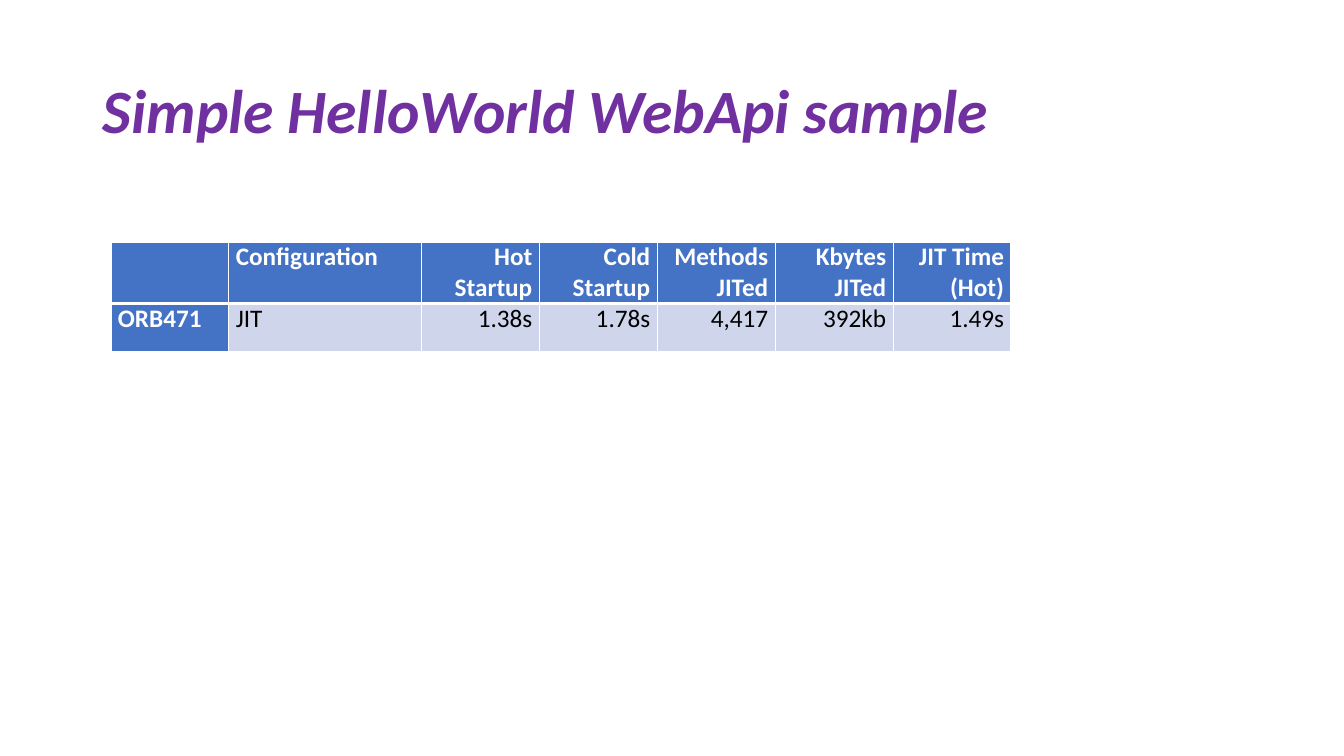
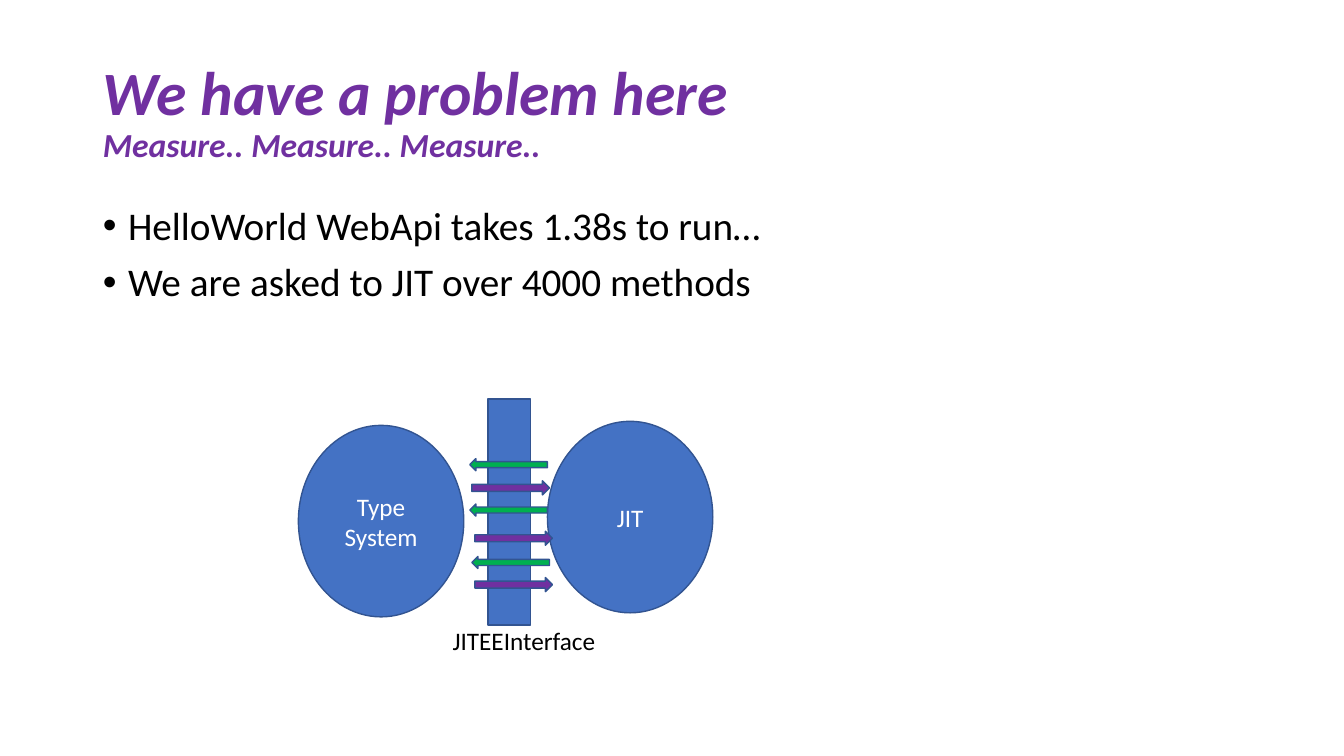
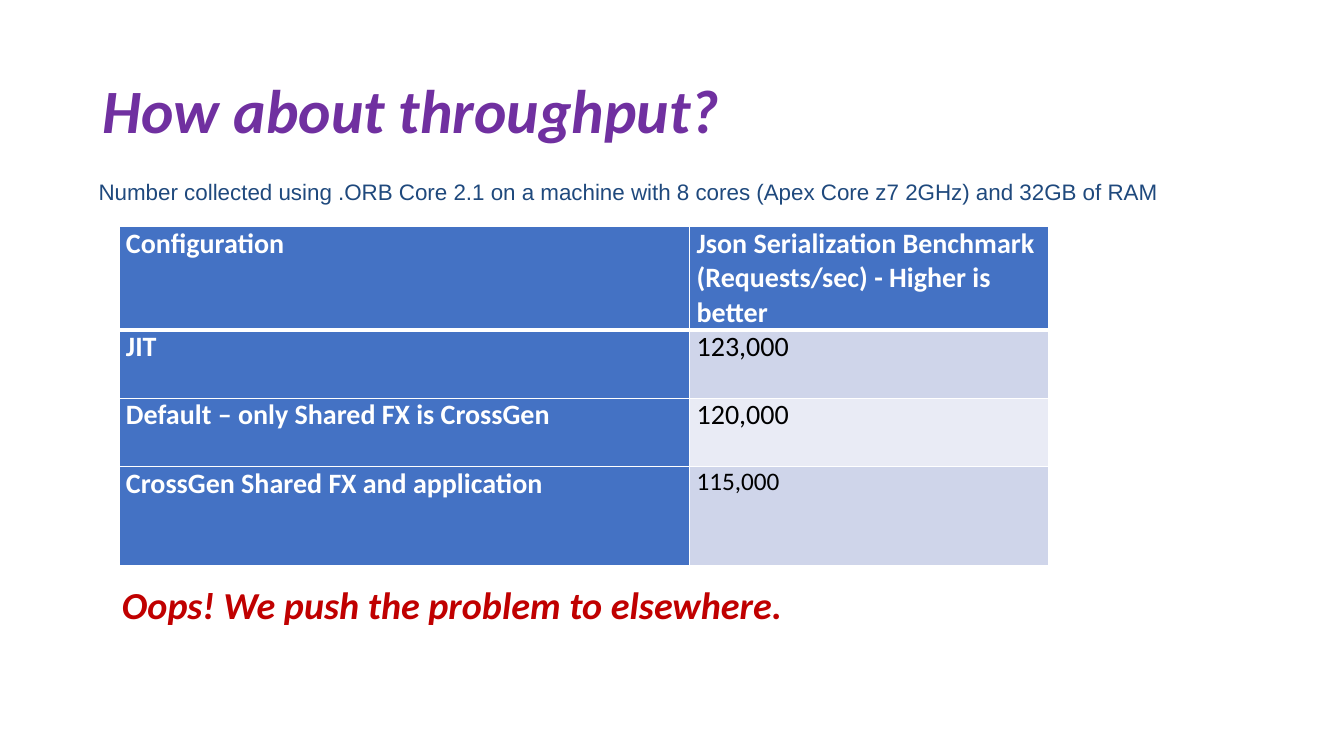
"""Build three slides on startup time, JIT calls and throughput."""
import dataclasses

import pptx
import pptx.dml.color
import pptx.enum.shapes
import pptx.enum.text
import pptx.oxml
import pptx.oxml.ns
import pptx.util

Inches = pptx.util.Inches
Pt = pptx.util.Pt
SHAPE = pptx.enum.shapes.MSO_SHAPE
ALIGN = pptx.enum.text.PP_ALIGN
ANCHOR = pptx.enum.text.MSO_ANCHOR
FIT = pptx.enum.text.MSO_AUTO_SIZE


@dataclasses.dataclass(frozen=True)
class Theme:
    face: str = "Calibri"
    plain: str = "Arial"
    blue: str = "4472C4"
    edge: str = "325491"
    bands: tuple = ("CFD5EA", "E9EBF5")
    purple: str = "7030A0"
    green: str = "00B050"
    red: str = "C00000"
    navy: str = "1F497D"
    white: str = "FFFFFF"
    black: str = "000000"
    head: float = 44
    sub: float = 24
    list: float = 28
    punch: float = 27.2
    large: float = 20
    text: float = 18
    note: float = 16


THEME = Theme()

STARTUP = {
    "at": (1.1, 2.4),
    "cols": [1.17, 1.91] + [1.17] * 5,
    "rows": [0.6, 0.48],
    "size": THEME.text,
    "right": 2,
    "cells": [
        ["", "Configuration", "Hot Startup", "Cold Startup",
         "Methods JITed", "Kbytes JITed", "JIT Time (Hot)"],
        ["ORB471", "JIT", "1.38s", "1.78s", "4,417", "392kb", "1.49s"],
    ],
}
SPEED = {
    "at": (1.18, 2.25),
    "cols": [5.66, 3.56],
    "rows": [1.02, 0.68, 0.68, 0.98],
    "size": THEME.large,
    "right": 2,
    "cells": [
        ["Configuration",
         "Json Serialization Benchmark (Requests/sec) - Higher is better"],
        ["JIT", "123,000"],
        ["Default – only Shared FX is CrossGen", "120,000"],
        ["CrossGen Shared FX and application", "115,000"],
    ],
}
POINTS = ["HelloWorld WebApi takes 1.38s to run…",
          "We are asked to JIT over 4000 methods"]
PARTS = [
    (SHAPE.OVAL, (2.96, 4.22, 1.64, 1.9), ["Type", "System"]),
    (SHAPE.OVAL, (5.43, 4.18, 1.64, 1.9), ["JIT"]),
    (SHAPE.RECTANGLE, (4.84, 3.96, 0.42, 2.24), []),
]
CALLS = [
    (SHAPE.LEFT_ARROW, THEME.green, 0.12,
     [(4.68, 5.52), (4.66, 5), (4.66, 4.55)]),
    (SHAPE.RIGHT_ARROW, THEME.purple, 0.14,
     [(4.71, 5.27), (4.68, 4.77), (4.71, 5.73)]),
]
PUNCH = "Oops! We push the problem to elsewhere."
NOTE = ("Number collected using .ORB Core 2.1 on a machine with 8 cores "
        "(Apex Core z7 2GHz) and 32GB of RAM")


def color(code):
    return pptx.dml.color.RGBColor.from_string(code)


def style(para, size, code, bold=False, slant=False, face=THEME.face):
    font = para.font
    font.name, font.size = face, Pt(size)
    font.bold, font.italic = bold, slant
    font.color.rgb = color(code)


def place(shape, left, top, width, height):
    shape.left, shape.top = Inches(left), Inches(top)
    shape.width, shape.height = Inches(width), Inches(height)


def add_slide(deck, layout, title, sub=None):
    slide = deck.slides.add_slide(deck.slide_layouts[layout])
    shape = slide.shapes.title
    place(shape, 0.92, 0.4, 11.5, 1.45)
    frame = shape.text_frame
    frame.auto_size = FIT.NONE
    frame.vertical_anchor = ANCHOR.MIDDLE
    para = frame.paragraphs[0]
    para.alignment, para.line_spacing = ALIGN.LEFT, 0.9
    style(para, THEME.head, THEME.purple, True, True)
    para.add_run().text = title
    if sub:
        para.add_line_break()
        run = para.add_run()
        run.text = sub
        run.font.size = Pt(THEME.sub)
    return slide


def fill_body(slide, box, lines, bullet):
    shape = slide.placeholders[1]
    place(shape, *box)
    frame = shape.text_frame
    frame.auto_size = FIT.NONE
    frame.text = "\n".join(lines)
    for para in frame.paragraphs:
        para.line_spacing = 0.9
        para.space_before = Pt(10 if bullet else 0)
        props = para._p.get_or_add_pPr()
        indent = Inches(0.25) if bullet else 0
        props.set("marL", str(indent))
        props.set("indent", str(-indent))
        tag = '<a:buChar %s char="•"/>' if bullet else "<a:buNone %s/>"
        props.append(pptx.oxml.parse_xml(tag % pptx.oxml.ns.nsdecls("a")))
    return frame


def add_label(slide, box, text, size, code, face=THEME.face):
    shape = slide.shapes.add_textbox(*map(Inches, box))
    frame = shape.text_frame
    frame.word_wrap = True
    frame.text = text
    style(frame.paragraphs[0], size, code, face=face)


def add_part(slide, kind, box, code, lines=()):
    shape = slide.shapes.add_shape(kind, *map(Inches, box))
    shape.shadow.inherit = False
    shape.fill.solid()
    shape.fill.fore_color.rgb = color(code)
    shape.line.color.rgb = color(THEME.edge)
    shape.line.width = Pt(1)
    if lines:
        frame = shape.text_frame
        frame.text = "\n".join(lines)
        frame.vertical_anchor = ANCHOR.MIDDLE
        for para in frame.paragraphs:
            para.alignment = ALIGN.CENTER
            style(para, THEME.text, THEME.white)


def add_edges(cell, base):
    props = cell._tc.get_or_add_tcPr()
    for side, width in zip("LRTB", (1, 1, 1, base)):
        props.append(pptx.oxml.parse_xml(
            f'<a:ln{side} {pptx.oxml.ns.nsdecls("a")} w="{Pt(width)}">'
            f'<a:solidFill><a:srgbClr val="{THEME.white}"/></a:solidFill>'
            f'</a:ln{side}>'))


def add_grid(slide, data):
    cells, cols, rows = data["cells"], data["cols"], data["rows"]
    box = (*data["at"], sum(cols), sum(rows))
    grid = slide.shapes.add_table(
        len(rows), len(cols), *map(Inches, box)).table
    grid.first_col = True
    for col, width in zip(grid.columns, cols):
        col.width = Inches(width)
    for row, height in zip(grid.rows, rows):
        row.height = Inches(height)
    for r, line in enumerate(cells):
        for c, text in enumerate(line):
            cell = grid.cell(r, c)
            head = r == 0 or c == 0
            cell.margin_left = cell.margin_right = Inches(0.07)
            cell.margin_top = cell.margin_bottom = 0
            add_edges(cell, 3 if r == 0 else 1)
            cell.fill.solid()
            cell.fill.fore_color.rgb = color(
                THEME.blue if head else THEME.bands[(r - 1) % 2])
            cell.text = text
            para = cell.text_frame.paragraphs[0]
            para.alignment = ALIGN.RIGHT if c >= data["right"] else ALIGN.LEFT
            style(para, data["size"], THEME.white if head else THEME.black, head)
    return grid


def main():
    deck = pptx.Presentation()
    deck.slide_width, deck.slide_height = Inches(13.33), Inches(7.5)

    slide = add_slide(deck, 5, "Simple HelloWorld WebApi sample")
    add_grid(slide, STARTUP)

    slide = add_slide(deck, 1, "We have a problem here",
                      "Measure.. Measure.. Measure..")
    frame = fill_body(slide, (0.92, 2, 11.5, 4.76), POINTS, True)
    for para in frame.paragraphs:
        style(para, THEME.list, THEME.black)
    for kind, box, lines in PARTS:
        add_part(slide, kind, box, THEME.blue, lines)
    add_label(slide, (4.39, 6.15, 2.69, 0.4), "JITEEInterface",
              THEME.text, THEME.black)
    for kind, code, height, spots in CALLS:
        for left, top in spots:
            add_part(slide, kind, (left, top, 0.77, height), code)

    slide = add_slide(deck, 1, "How about throughput?")
    frame = fill_body(slide, (1.11, 5.72, 11.16, 0.6), [PUNCH], False)
    frame.vertical_anchor = ANCHOR.MIDDLE
    style(frame.paragraphs[0], THEME.punch, THEME.red, True, True)
    grid = add_grid(slide, SPEED)
    last = grid.cell(3, 1).text_frame.paragraphs[0]
    last.font.size = Pt(THEME.text)
    add_label(slide, (0.88, 1.72, 11.04, 0.37), NOTE,
              THEME.note, THEME.navy, THEME.plain)

    deck.save("out.pptx")


if __name__ == "__main__":
    main()
